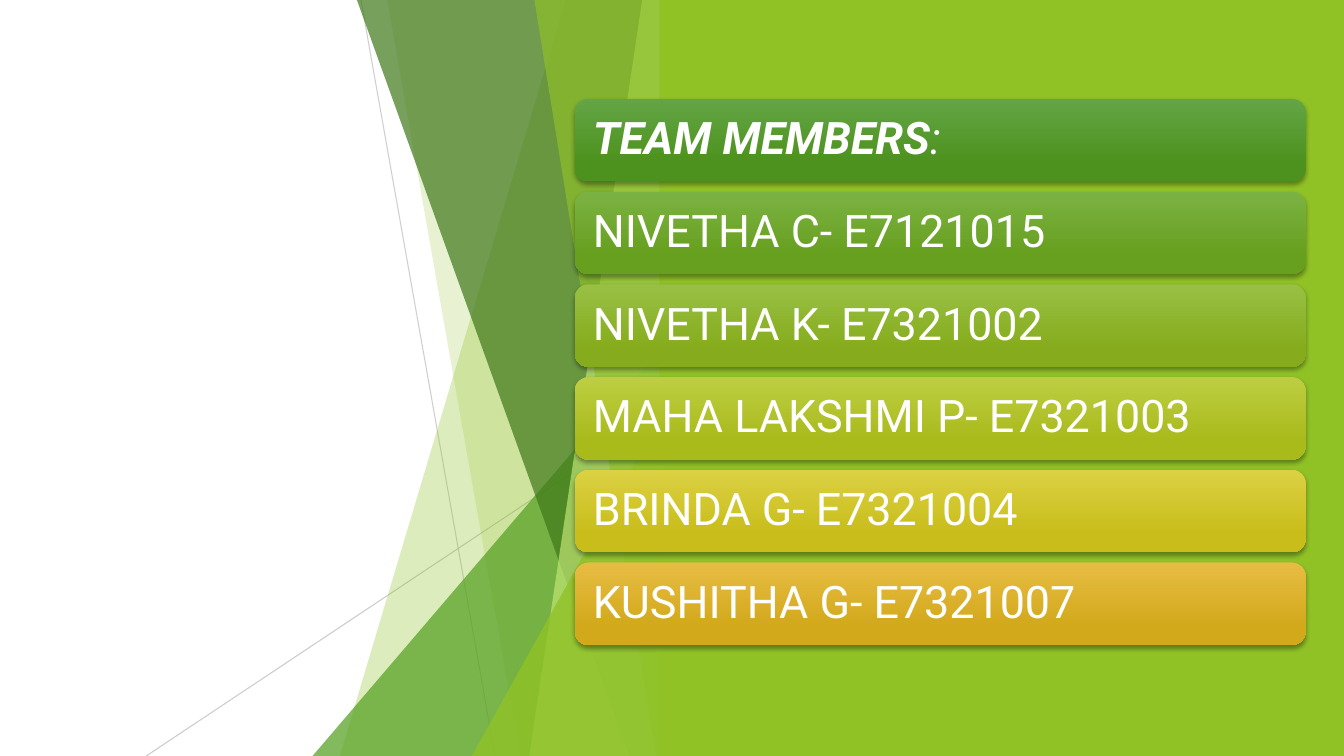
from lxml import etree
from pptx import Presentation
from pptx.dml.color import RGBColor
from pptx.enum.shapes import MSO_CONNECTOR as Connector, MSO_SHAPE as Preset
from pptx.enum.text import MSO_ANCHOR as Anchor, PP_ALIGN as Align
from pptx.oxml.ns import qn
from pptx.util import Inches, Pt

THEME = {
    "font": "Roboto", "size": 32, "text": "FFFFFF", "paper": "FFFFFF",
    "lime": "90C226", "green": "54A021", "forest": "3F7819", "pale": "C0E474",
    "hairline": "BFBFBF", "shadow": "000000",
}
WIDTH, HEIGHT = 13.33, 7.5


def add_text(paragraph, text, *, bold=False, italic=False):
    run = paragraph.add_run()
    run.text = text
    run.font.name, run.font.size = THEME["font"], Pt(THEME["size"])
    run.font.bold, run.font.italic = bold, italic
    run.font.color.rgb = RGBColor.from_string(THEME["text"])


def paint(shape, colour, opacity=100):
    """Flat fill without outline or shadow."""
    shape.shadow.inherit = False
    shape.line.fill.background()
    shape.fill.solid()
    shape.fill.fore_color.rgb = RGBColor.from_string(colour)
    if opacity < 100:
        tint = shape.fill._xPr.find(".//" + qn("a:srgbClr"))
        etree.SubElement(tint, qn("a:alpha"), val=str(opacity * 1000))


deck = Presentation()
deck.slide_width, deck.slide_height = Inches(WIDTH), Inches(HEIGHT)
slide = deck.slides.add_slide(deck.slide_layouts[6])
slide.background.fill.solid()
slide.background.fill.fore_color.rgb = RGBColor.from_string(THEME["paper"])
shapes = slide.shapes

# Hairlines crossing behind the facets
FACET_EDGE = WIDTH / 2
for x1, y1, x2, opacity in [(3.58, 0, 4.91, 75), (FACET_EDGE, 4.03, 1.45, 80)]:
    hairline = shapes.add_connector(
        Connector.STRAIGHT, Inches(x1), Inches(y1), Inches(x2), Inches(HEIGHT))
    hairline.line.width = Pt(0.75)
    hairline.line.color.rgb = RGBColor.from_string(THEME["hairline"])
    properties = hairline._element.spPr
    tint = properties.find(".//" + qn("a:srgbClr"))
    etree.SubElement(tint, qn("a:alpha"), val=str(opacity * 1000))
    etree.SubElement(properties, qn("a:effectLst"))

# Facets: all end at the same right edge; those with a peak are triangles
facets = [  # top x, bottom x, peak y, colour, opacity
    (5.61, 3.37, None, "lime", 30),
    (3.84, 5.16, None, "lime", 20),
    (None, 3.10, 3.33, "green", 72),
    (3.54, 6.24, None, "forest", 70),
    (6.37, 5.25, None, "pale", 70),
    (5.30, 6.51, None, "lime", 65),
    (None, 4.68, 3.93, "lime", 80),
]
for top_x, bottom_x, peak, colour, opacity in facets:
    if peak:
        facet = shapes.add_shape(
            Preset.ISOSCELES_TRIANGLE, Inches(bottom_x), Inches(peak),
            Inches(FACET_EDGE - bottom_x), Inches(HEIGHT - peak))
        facet.adjustments[0] = 1
    else:
        outline = shapes.build_freeform(Inches(top_x), 0)
        outline.add_line_segments([
            (Inches(FACET_EDGE), 0), (Inches(FACET_EDGE), Inches(HEIGHT)),
            (Inches(bottom_x), Inches(HEIGHT))])
        facet = outline.convert_to_shape()
    paint(facet, THEME[colour], opacity)

# Green panel on the right
PANEL_LEFT = 6.54
panel = shapes.add_shape(Preset.RECTANGLE, Inches(PANEL_LEFT), 0,
                         Inches(WIDTH - PANEL_LEFT), Inches(HEIGHT))
paint(panel, THEME["lime"])

# Team cards, one per row
CARD_LEFT, CARD_TOP, CARD_WIDTH, CARD_HEIGHT, ROW_STEP = 5.7, 0.98, 7.25, 0.82, 0.92
cards = [  # text, italic ending, gradient top, gradient bottom
    ("TEAM MEMBERS", ":", "63A545", "4D921E"),
    ("NIVETHA C- E7121015", "", "7BB244", "679F1E"),
    ("NIVETHA K- E7321002", "", "99C044", "86AC1D"),
    ("MAHA LAKSHMI P- E7321003", "", "BDCE43", "A9BA1B"),
    ("BRINDA G- E7321004", "", "DCD143", "C8BD1A"),
    ("KUSHITHA G- E7321007", "", "E7BC43", "D2A91B"),
]
for row, (label, ending, light, dark) in enumerate(cards):
    card = shapes.add_shape(
        Preset.ROUNDED_RECTANGLE, Inches(CARD_LEFT), Inches(CARD_TOP + row * ROW_STEP),
        Inches(CARD_WIDTH), Inches(CARD_HEIGHT))
    paint(card, dark)
    card.fill.gradient()
    card.fill.gradient_angle = 270
    for stop, position, colour in zip(card.fill.gradient_stops, (0, 0.78), (light, dark)):
        stop.position = position
        stop.color.rgb = RGBColor.from_string(colour)

    # Soft shadow just below the card
    effects = card._element.spPr.find(qn("a:effectLst"))
    shadow = etree.SubElement(effects, qn("a:outerShdw"), blurRad=str(Pt(3)),
                              dist=str(Pt(2)), dir="5400000", rotWithShape="0")
    shade = etree.SubElement(shadow, qn("a:srgbClr"), val=THEME["shadow"])
    etree.SubElement(shade, qn("a:alpha"), val="35000")

    frame = card.text_frame
    frame.word_wrap, frame.vertical_anchor = True, Anchor.MIDDLE
    frame.margin_left = frame.margin_right = Inches(0.14)
    frame.margin_top = frame.margin_bottom = Inches(0.13)
    line = frame.paragraphs[0]
    line.alignment, line.line_spacing = Align.LEFT, 0.9
    heading = bool(ending)
    add_text(line, label, bold=heading, italic=heading)
    if heading:
        add_text(line, ending, italic=True)

deck.save("out.pptx")
